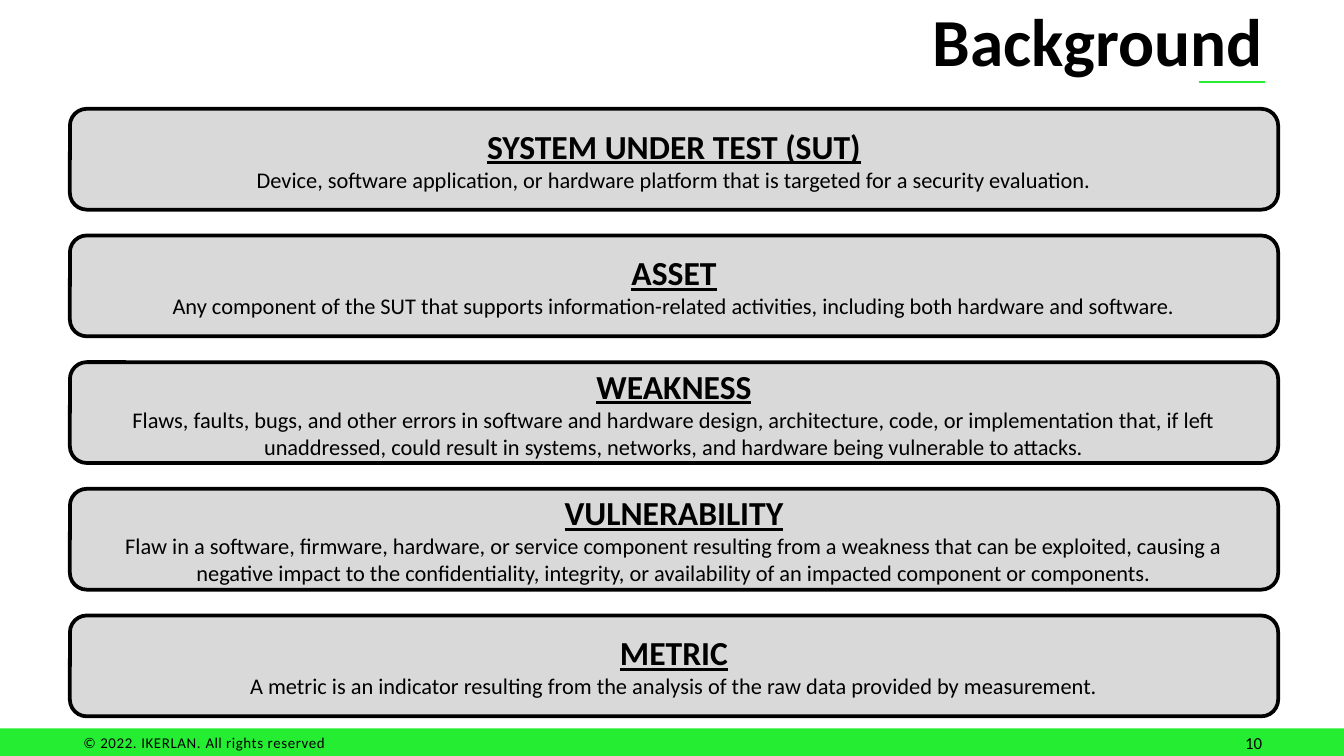
import pptx
import pptx.util
import pptx.dml.color
import pptx.enum.shapes
import pptx.enum.text

Inches = pptx.util.Inches
Pt = pptx.util.Pt
Align = pptx.enum.text.PP_ALIGN
Anchor = pptx.enum.text.MSO_ANCHOR
Shape = pptx.enum.shapes.MSO_SHAPE
HUES = {"green": "25EE32", "gray": "D9D9D9", "black": "000000"}


def hue(name):
    return pptx.dml.color.RGBColor.from_string(HUES[name])


def write(para, text, size=12, bold=False, under=False, align=Align.LEFT, space=0):
    """Add one formatted run to a paragraph."""
    para.alignment = align
    run = para.add_run()
    run.text = text
    font = run.font
    font.name, font.size = "Calibri", Pt(size)
    font.bold, font.underline = bold, under
    font.color.rgb = hue("black")
    if space:
        run._r.get_or_add_rPr().set("spc", str(round(space * 100)))


# Widescreen deck, 16 by 9
deck = pptx.Presentation()
deck.slide_width = Inches(10)
deck.slide_height = Inches(10) * 9 // 16
slide = deck.slides.add_slide(deck.slide_layouts[5])
shapes = slide.shapes

# Footer band, down to the slide's edge
top = Inches(5.42)
band = shapes.add_shape(Shape.RECTANGLE, 0, top, deck.slide_width, deck.slide_height - top)
band.shadow.inherit = False
band.fill.solid()
band.fill.fore_color.rgb = hue("green")
band.line.fill.background()

# Copyright line
note = shapes.add_textbox(Inches(0.61), Inches(5.46), Inches(2.85), Inches(0.13))
frame = note.text_frame
frame.word_wrap = True
frame.margin_left = frame.margin_right = frame.margin_top = frame.margin_bottom = 0
for text, space in (("© 2022. IKERLAN. ", 0.3), ("All ", 0.2), ("rights reserved", 0.3)):
    write(frame.paragraphs[0], text, size=8, space=space)
frame.paragraphs[0]._p.get_or_add_pPr().set("marL", str(Inches(0.01)))

# Rule under the title
pen = shapes.build_freeform(Inches(8.92), Inches(0.61))
pen.add_line_segments([(Inches(9.41), Inches(0.61))], close=False)
rule = pen.convert_to_shape()
rule.shadow.inherit = False
rule.fill.background()
rule.line.color.rgb = hue("green")
rule.line.width = Pt(0.95)

# Title
title = shapes.title
title.left, title.top = Inches(2.32), Inches(-0.02)
title.width, title.height = Inches(7.18), Inches(0.63)
title.text_frame.vertical_anchor = Anchor.MIDDLE
write(title.text_frame.paragraphs[0], "Background", size=36, bold=True, align=Align.RIGHT)

# Page number
page = shapes.add_textbox(Inches(7.16), Inches(5.4), Inches(2.33), Inches(0.23))
page.text_frame.word_wrap = True
write(page.text_frame.paragraphs[0], "10", size=9, align=Align.RIGHT)

# Definition boxes
TERMS = [
    ("SYSTEM UNDER TEST (SUT)",
     "Device, software application, or hardware platform that is targeted for a "
     "security evaluation."),
    ("ASSET",
     "Any component of the SUT that supports information-related activities, "
     "including both hardware and software."),
    ("WEAKNESS",
     "Flaws, faults, bugs, and other errors in software and hardware design, "
     "architecture, code, or implementation that, if left unaddressed, could result "
     "in systems, networks, and hardware being vulnerable to attacks."),
    ("VULNERABILITY",
     "Flaw in a software, firmware, hardware, or service component resulting from a "
     "weakness that can be exploited, causing a negative impact to the "
     "confidentiality, integrity, or availability of an impacted component or "
     "components."),
    ("METRIC",
     "A metric is an indicator resulting from the analysis of the raw data provided "
     "by measurement."),
]
FIRST, LAST = 0.81, 4.58
STEP = (LAST - FIRST) / (len(TERMS) - 1)
for i, (term, sense) in enumerate(TERMS):
    box = shapes.add_shape(Shape.ROUNDED_RECTANGLE, Inches(0.52), Inches(FIRST + i * STEP),
                           Inches(8.99), Inches(0.75))
    box.shadow.inherit = False
    box.fill.solid()
    box.fill.fore_color.rgb = hue("gray")
    box.line.color.rgb = hue("black")
    box.line.width = Pt(2)
    frame = box.text_frame
    frame.word_wrap = True
    frame.vertical_anchor = Anchor.MIDDLE
    write(frame.paragraphs[0], term, size=18, bold=True, under=True, align=Align.CENTER)
    write(frame.add_paragraph(), sense, align=Align.CENTER)

deck.save("out.pptx")
